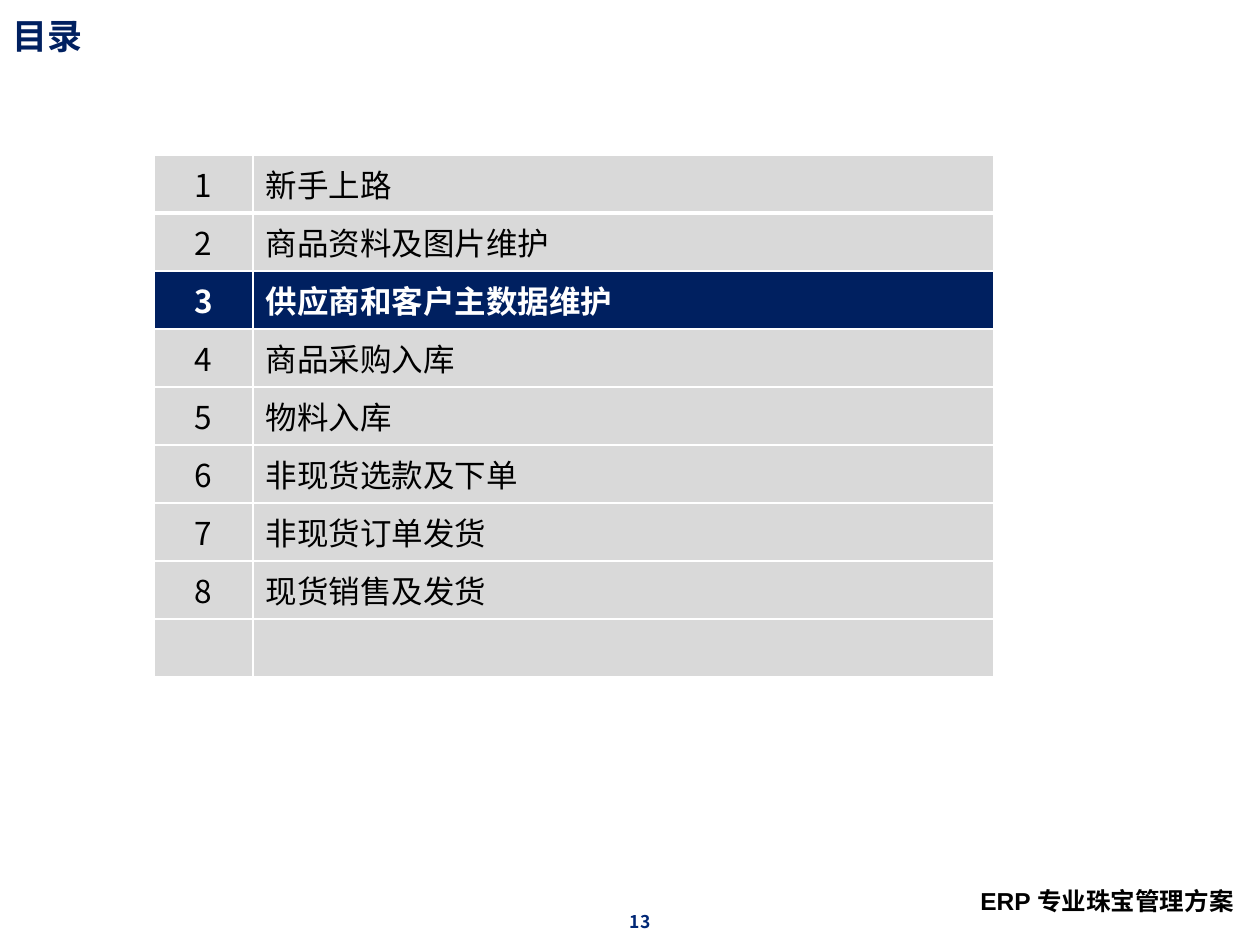
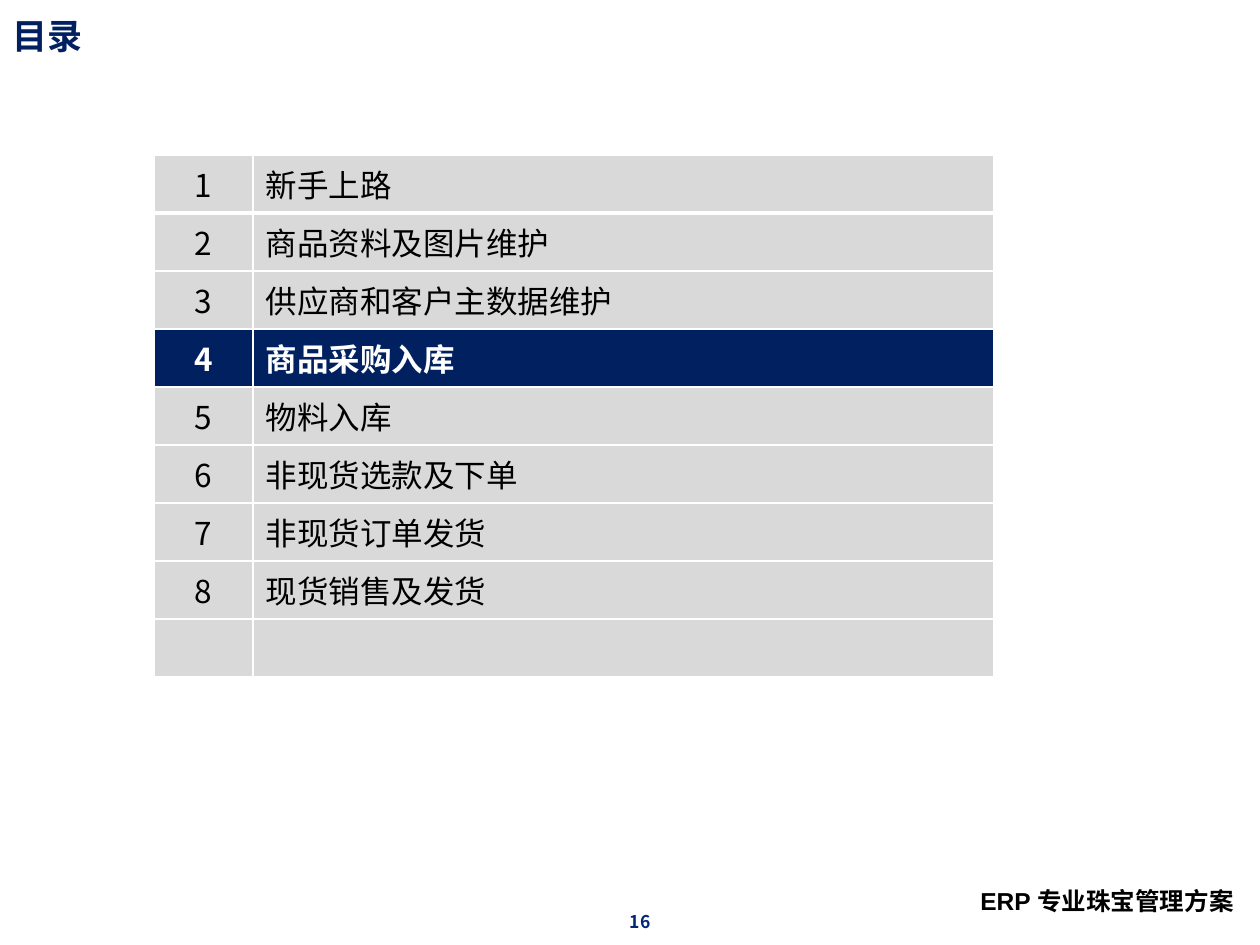
from lxml import etree
from pptx import Presentation
from pptx.dml.color import RGBColor
from pptx.enum.text import MSO_ANCHOR, MSO_AUTO_SIZE, PP_ALIGN
from pptx.oxml.ns import qn
from pptx.util import Emu, Pt

TOP, MIDDLE, BOTTOM = MSO_ANCHOR.TOP, MSO_ANCHOR.MIDDLE, MSO_ANCHOR.BOTTOM
LEFT, CENTER = PP_ALIGN.LEFT, PP_ALIGN.CENTER
FIXED, GROW = MSO_AUTO_SIZE.NONE, MSO_AUTO_SIZE.SHAPE_TO_FIT_TEXT

# Shared look
EMU_PER_PX = 914400 / 126
CJK_FONT, LATIN_FONT = "Noto Sans CJK SC", "Arial"
NAVY, PAGE_BLUE, GREY = "002060", "002776", "D9D9D9"
BLACK, WHITE = "000000", "FFFFFF"

# Contents table
CHAPTERS = ["新手上路", "商品资料及图片维护", "供应商和客户主数据维护", "商品采购入库",
            "物料入库", "非现货选款及下单", "非现货订单发货", "现货销售及发货"]
COLUMN_WIDTHS = [99, 741]
ROW_HEIGHT = 58
RULE, HEAVY_RULE = 1, 3

# Page number and highlighted chapter of each slide
AGENDA_SLIDES = [(13, 3), (16, 4)]


def px(length):
    return Emu(round(length * EMU_PER_PX))


def color(value):
    return RGBColor.from_string(value)


def style(paragraph, size, text_color, bold=False, font_name=CJK_FONT, align=LEFT):
    paragraph.alignment = align
    font = paragraph.font
    font.name, font.size, font.bold = font_name, Pt(size), bold
    font.color.rgb = color(text_color)
    latin = next(paragraph._p.iter(qn("a:latin")))
    east_asian = etree.Element(qn("a:ea"), typeface=CJK_FONT)
    latin.addnext(east_asian)


def add_title(slide, text):
    title = slide.shapes.title
    title.left, title.top, title.width, title.height = map(px, (0, 10, 1197, 57))
    frame = title.text_frame
    frame.text = text
    frame.auto_size, frame.vertical_anchor = FIXED, MIDDLE
    paragraph = frame.paragraphs[0]
    paragraph.line_spacing = 0.9
    style(paragraph, 20, NAVY, bold=True)


def add_label(slide, text, box, anchor=TOP, auto_size=FIXED, inset=None, **font):
    frame = slide.shapes.add_textbox(*map(px, box)).text_frame
    frame.word_wrap, frame.auto_size, frame.vertical_anchor = True, auto_size, anchor
    if inset is not None:
        frame.margin_left = frame.margin_right = px(inset)
        frame.margin_top = frame.margin_bottom = px(inset)
    frame.text = text
    style(frame.paragraphs[0], bold=True, **font)


def add_footer(slide, page):
    add_label(slide, str(page), (630, 914, 49, 18), anchor=BOTTOM, inset=0,
              size=10, text_color=PAGE_BLUE)
    add_label(slide, "ERP 专业珠宝管理方案", (968, 880, 318, 43), auto_size=GROW,
              size=14, text_color=BLACK, font_name=LATIN_FONT)


def add_borders(cell, top, bottom):
    properties = cell._tc.get_or_add_tcPr()
    for side, width in (("L", RULE), ("R", RULE), ("T", top), ("B", bottom)):
        line = etree.SubElement(properties, qn(f"a:ln{side}"), w=str(Pt(width)))
        fill = etree.SubElement(line, qn("a:solidFill"))
        etree.SubElement(fill, qn("a:srgbClr"), val=WHITE)


def add_contents(slide, current):
    # The last row stays empty
    rows = [(str(n), chapter) for n, chapter in enumerate(CHAPTERS, 1)] + [("", "")]
    box = (154, 155, sum(COLUMN_WIDTHS), ROW_HEIGHT * len(rows))
    table = slide.shapes.add_table(len(rows), len(COLUMN_WIDTHS), *map(px, box)).table
    table.first_row = table.horz_banding = False
    for column, width in zip(table.columns, COLUMN_WIDTHS):
        column.width = px(width)
    for r, texts in enumerate(rows):
        table.rows[r].height = px(ROW_HEIGHT)
        is_current = r + 1 == current
        for c, text in enumerate(texts):
            cell = table.cell(r, c)
            cell.text = text
            add_borders(cell, top=HEAVY_RULE if r == 1 else RULE,
                        bottom=HEAVY_RULE if r == 0 else RULE)
            cell.fill.solid()
            cell.fill.fore_color.rgb = color(NAVY if is_current else GREY)
            style(cell.text_frame.paragraphs[0], 18, WHITE if is_current else BLACK,
                  bold=is_current, align=LEFT if c else CENTER)


def main():
    deck = Presentation()
    deck.slide_width, deck.slide_height = px(1260), px(945)
    title_only = deck.slide_layouts[5]
    for page, current in AGENDA_SLIDES:
        slide = deck.slides.add_slide(title_only)
        add_footer(slide, page)
        add_title(slide, "目录")
        add_contents(slide, current)
    deck.save("out.pptx")


if __name__ == "__main__":
    main()
